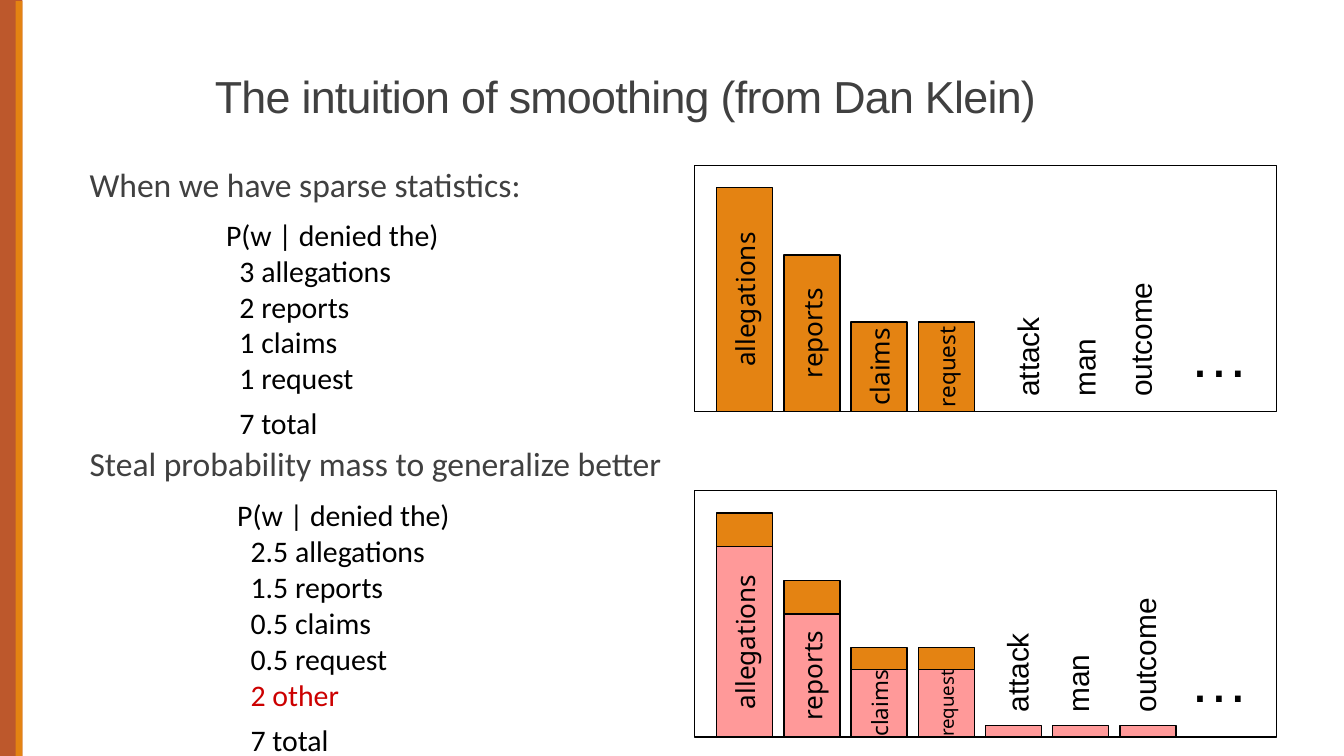
from dataclasses import dataclass

from pptx import Presentation
from pptx.dml.color import RGBColor
from pptx.enum.shapes import MSO_SHAPE
from pptx.enum.text import MSO_ANCHOR, PP_ALIGN
from pptx.shapes.autoshape import Shape
from pptx.slide import Slide
from pptx.util import Inches, Pt

BLACK = RGBColor(0x00, 0x00, 0x00)
GREY = RGBColor(0x40, 0x40, 0x40)
RED = RGBColor(0xCC, 0x00, 0x00)
RUST = RGBColor(0xBD, 0x58, 0x2C)
ORANGE = RGBColor(0xE4, 0x83, 0x12)
PINK = RGBColor(0xFF, 0x99, 0x99)

SLIDE_WIDTH, SLIDE_HEIGHT = Inches(10), Inches(5.625)
COLUMNS = 120
CELL = SLIDE_WIDTH / COLUMNS
ROWS = SLIDE_HEIGHT / CELL

PANEL_LEFT, PANEL_WIDTH, PANEL_HEIGHT = 62, 52, 22
FIRST_BAR, BAR_WIDTH, BAR_PITCH = 64, 5, 6
LABEL_LENGTH, LABEL_DEPTH = 15, 4.44


@dataclass(frozen=True)
class Area:
    left: float
    top: float
    width: float
    height: float

    def turned(self) -> "Area":
        shift = (self.width - self.height) / 2
        return Area(self.left + shift, self.top - shift, self.height, self.width)

    def lengths(self) -> list[int]:
        return [round(value * CELL) for value in (self.left, self.top, self.width, self.height)]


@dataclass(frozen=True)
class Bar:
    slot: int
    height: float
    fill: RGBColor
    word: str = ""
    size: int = 14


@dataclass(frozen=True)
class Label:
    word: str
    centre: float


@dataclass(frozen=True)
class Panel:
    top: float
    bars: list[Bar]
    labels: list[Label]
    label_lift: float


@dataclass(frozen=True)
class Counts:
    area: Area
    items: list[str]
    other: str = ""


COUNTS = [
    Counts(Area(19, 18.75, 32, 21.4),
           ["3 allegations", "2 reports", "1 claims", "1 request"]),
    Counts(Area(20, 43.8, 32, 23.7),
           ["2.5 allegations", "1.5 reports", "0.5 claims", "0.5 request"], "2 other"),
]

PANELS = [
    Panel(14.75,
          [Bar(0, 20, ORANGE, "allegations"), Bar(1, 14, ORANGE, "reports"),
           Bar(2, 8, ORANGE, "claims"), Bar(3, 8, ORANGE, "request", 12)],
          [Label("attack", 91.75), Label("man", 96.8), Label("outcome", 101.8)], 0.15),
    Panel(43.8,
          [Bar(slot, height, ORANGE) for slot, height in enumerate((20, 14, 8, 8))]
          + [Bar(0, 17, PINK, "allegations"), Bar(1, 11, PINK, "reports"),
             Bar(2, 6, PINK, "claims", 12), Bar(3, 6, PINK, "request", 10)]
          + [Bar(slot, 1, PINK) for slot in (4, 5, 6)],
          [Label("attack", 90.8), Label("man", 96.2), Label("outcome", 102.2)], 1),
]


def add_rectangle(page: Slide, area: Area, fill: RGBColor | None, outlined: bool = True) -> Shape:
    box = page.shapes.add_shape(MSO_SHAPE.RECTANGLE, *area.lengths())
    box.shadow.inherit = False
    if fill is None:
        box.fill.background()
    else:
        box.fill.solid()
        box.fill.fore_color.rgb = fill
    if outlined:
        box.line.color.rgb = BLACK
        box.line.width = Pt(0.75)
    else:
        box.line.fill.background()
    return box


def write(box: Shape, lines: list[str], font: str, size: float, color: RGBColor = BLACK) -> None:
    frame = box.text_frame
    frame.text = "\n".join(lines)
    for para in frame.paragraphs:
        para.font.name = font
        para.font.size = Pt(size)
        para.font.color.rgb = color


def add_text(page: Slide, area: Area, lines: list[str], font: str, size: float,
             color: RGBColor = BLACK) -> Shape:
    box = page.shapes.add_textbox(*area.lengths())
    box.text_frame.word_wrap = True
    write(box, lines, font, size, color)
    return box


def add_title(page: Slide) -> None:
    box = add_text(page, Area(18, 1.8, 98, 9.7),
                   ["The intuition of smoothing (from Dan Klein)"], "Arial", 24, GREY)
    box.text_frame.vertical_anchor = MSO_ANCHOR.BOTTOM
    para = box.text_frame.paragraphs[0]
    para.line_spacing = 0.85
    para.runs[0].font._element.set("spc", "-40")


def add_headings(page: Slide) -> None:
    box = add_text(page, Area(8, 15, 108, 52.5),
                   ["When we have sparse statistics:",
                    "Steal probability mass to generalize better"], "Calibri", 18, GREY)
    frame = box.text_frame
    frame.margin_left = frame.margin_right = 0
    for para in frame.paragraphs:
        para.line_spacing = 0.7
        para.space_after = Pt(1.5)
    frame.paragraphs[1].space_before = Pt(133)


def add_counts(page: Slide, counts: Counts) -> None:
    others = [counts.other] if counts.other else []
    lines = ["P(w | denied the)", *counts.items, *others, "7 total"]
    box = add_text(page, counts.area, lines, "Calibri", 16)
    paras = box.text_frame.paragraphs
    for para in paras[1:]:
        para._p.get_or_add_pPr().set("marL", str(Inches(0.1)))
        if para.text == counts.other:
            para.font.color.rgb = RED
    paras[-1].space_before = Pt(5)


def add_bar(page: Slide, bar: Bar, baseline: float) -> None:
    upright = Area(FIRST_BAR + bar.slot * BAR_PITCH, baseline - bar.height, BAR_WIDTH, bar.height)
    box = add_rectangle(page, upright.turned(), bar.fill)
    box.rotation = 270
    if bar.word:
        write(box, [bar.word], "Noto Sans", bar.size)
        box.text_frame.word_wrap = False
        box.text_frame.vertical_anchor = MSO_ANCHOR.MIDDLE
        box.text_frame.paragraphs[0].alignment = PP_ALIGN.CENTER


def add_panel(page: Slide, panel: Panel) -> None:
    baseline = panel.top + PANEL_HEIGHT
    add_rectangle(page, Area(PANEL_LEFT, panel.top, PANEL_WIDTH, PANEL_HEIGHT), None)
    for bar in panel.bars:
        add_bar(page, bar, baseline)
    for label in panel.labels:
        upright = Area(label.centre - LABEL_DEPTH / 2,
                       baseline - panel.label_lift - LABEL_LENGTH, LABEL_DEPTH, LABEL_LENGTH)
        add_text(page, upright.turned(), [label.word], "Arial", 16).rotation = 270
    add_text(page, Area(105, panel.top + 13, 7, 7.6), ["…"], "Arial", 32)


def main() -> None:
    deck = Presentation()
    deck.slide_width, deck.slide_height = SLIDE_WIDTH, SLIDE_HEIGHT
    page = deck.slides.add_slide(deck.slide_layouts[6])
    add_rectangle(page, Area(0, 0, 2, ROWS), RUST, outlined=False)
    add_rectangle(page, Area(1.4, 0.1, 0.6, ROWS - 0.1), ORANGE, outlined=False)
    add_title(page)
    add_headings(page)
    for counts in COUNTS:
        add_counts(page, counts)
    for panel in PANELS:
        add_panel(page, panel)
    deck.save("out.pptx")


if __name__ == "__main__":
    main()
